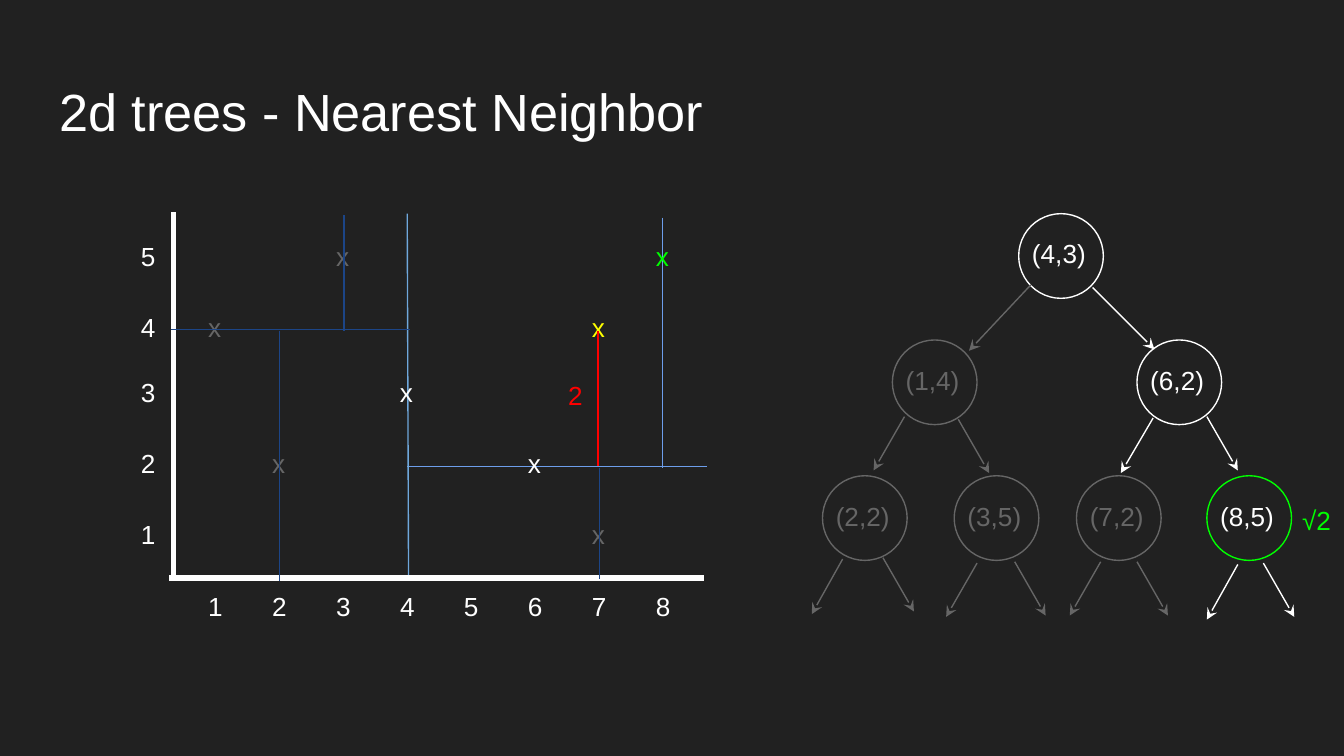
"""Build a slide on nearest-neighbor search in a 2d tree."""
from lxml import etree
from pptx import Presentation
from pptx.dml.color import RGBColor
from pptx.enum.shapes import MSO_CONNECTOR, MSO_SHAPE
from pptx.enum.text import MSO_ANCHOR, PP_ALIGN
from pptx.oxml.ns import qn
from pptx.util import Inches, Pt

WHITE, GRAY, GREEN = "FFFFFF", "666666", "00FF00"
YELLOW, RED = "FFFF00", "FF0000"
BLUE, SKY, NAVY = "6D9EEB", "6FA8DC", "1C4587"


def write_text(shape, text, color=WHITE, size=14):
    frame = shape.text_frame
    frame.word_wrap = True
    frame.vertical_anchor = MSO_ANCHOR.TOP
    frame.margin_left = frame.margin_right = Inches(0.1)
    frame.margin_top = frame.margin_bottom = Inches(0.1)
    paragraph = frame.paragraphs[0]
    paragraph.alignment = PP_ALIGN.LEFT
    run = paragraph.add_run()
    run.text = text
    run.font.name = "Arial"
    run.font.size = Pt(size)
    run.font.color.rgb = RGBColor.from_string(color)


def add_line(start, end, color, width=0.75, arrow=False):
    line = slide.shapes.add_connector(
        MSO_CONNECTOR.STRAIGHT, *(Inches(value) for value in start + end))
    line.line.color.rgb = RGBColor.from_string(color)
    line.line.width = Pt(width)
    properties = line._element.spPr
    if arrow:
        etree.SubElement(properties.find(qn("a:ln")), qn("a:tailEnd"), type="stealth")
    etree.SubElement(properties, qn("a:effectLst"))


presentation = Presentation()
presentation.slide_width = Inches(10)
presentation.slide_height = Inches(10 * 9 / 16)
slide = presentation.slides.add_slide(presentation.slide_layouts[5])
slide.background.fill.solid()
slide.background.fill.fore_color.rgb = RGBColor.from_string("212121")

title = slide.shapes.title
title.left, title.top = Inches(0.34), Inches(0.49)
title.width, title.height = Inches(9.32), Inches(0.63)
write_text(title, "2d trees - Nearest Neighbor", size=28)

active_splits = [
    ((3.03, 3.47), (5.26, 3.47), BLUE),
    ((3.03, 1.59), (3.04, 4.3), SKY),
    ((4.93, 1.62), (4.93, 3.48), BLUE),
]
for start, end, color in active_splits:
    add_line(start, end, color)

add_line((1.29, 1.58), (1.29, 4.29), WHITE, width=3)
add_line((1.26, 4.3), (5.24, 4.3), WHITE, width=3)

column_left = {x: 1.45 + 0.476 * (x - 1) for x in range(1, 9)}
row_top = {1: 3.76, 2: 3.23, 3: 2.7, 4: 2.22, 5: 1.69}
points = [
    (2, 2, GRAY), (4, 3, WHITE), (8, 5, GREEN), (7, 1, GRAY),
    (6, 2, WHITE), (1, 4, GRAY), (3, 5, GRAY), (7, 4, YELLOW),
]
labels = [(left, 4.29, 0.31, 0.53, str(x), WHITE) for x, left in column_left.items()]
labels += [(0.95, top, 0.31, 0.53, str(y), WHITE) for y, top in row_top.items()]
labels += [(column_left[x], row_top[y], 0.3, 0.4, "x", color) for x, y, color in points]
labels += [(9.59, 3.65, 0.5, 0.41, "√2", GREEN), (4.13, 2.72, 0.3, 0.4, "2", RED)]

nodes = [
    (7.58, 1.59, "(4,3)", WHITE, WHITE),
    (6.64, 2.53, "(1,4)", GRAY, GRAY),
    (8.46, 2.53, "(6,2)", WHITE, WHITE),
    (6.12, 3.54, "(2,2)", GRAY, GRAY),
    (7.1, 3.54, "(3,5)", GRAY, GRAY),
    (8.01, 3.54, "(7,2)", GRAY, GRAY),
    (8.98, 3.54, "(8,5)", WHITE, GREEN),
]
for left, top, text, color, outline in nodes:
    circle = slide.shapes.add_shape(
        MSO_SHAPE.OVAL, Inches(left), Inches(top), Inches(0.63), Inches(0.63))
    circle.shadow.inherit = False
    circle.fill.background()
    circle.line.color.rgb = RGBColor.from_string(outline)
    circle.line.width = Pt(0.75)
    labels.append((left, top + 0.08, 0.69, 0.4, text, color))

for left, top, width, height, text, color in labels:
    box = slide.shapes.add_textbox(
        Inches(left), Inches(top), Inches(width), Inches(height))
    write_text(box, text, color)

branches = [
    ((7.67, 2.12), (7.21, 2.61), GRAY),
    ((8.13, 2.14), (8.59, 2.6), WHITE),
    ((6.73, 3.1), (6.5, 3.5), GRAY),
    ((7.13, 3.12), (7.36, 3.52), GRAY),
    ((8.58, 3.11), (8.34, 3.52), WHITE),
    ((8.98, 3.1), (9.21, 3.5), WHITE),
    ((6.27, 4.16), (6.04, 4.57), GRAY),
    ((6.57, 4.15), (6.8, 4.55), GRAY),
    ((7.27, 4.19), (7.04, 4.59), GRAY),
    ((7.55, 4.18), (7.78, 4.58), GRAY),
    ((8.19, 4.18), (7.96, 4.58), GRAY),
    ((8.46, 4.18), (8.69, 4.58), GRAY),
    ((9.21, 4.2), (8.98, 4.61), WHITE),
    ((9.4, 4.19), (9.63, 4.59), WHITE),
]
for start, end, color in branches:
    add_line(start, end, color, arrow=True)

pruned_splits = [
    ((1.27, 2.45), (3.05, 2.45)),
    ((2.08, 2.46), (2.08, 4.32)),
    ((2.56, 1.6), (2.56, 2.46)),
    ((4.46, 3.48), (4.46, 4.31)),
]
for start, end in pruned_splits:
    add_line(start, end, NAVY)

add_line((4.45, 2.46), (4.45, 3.47), RED)

presentation.save("out.pptx")
